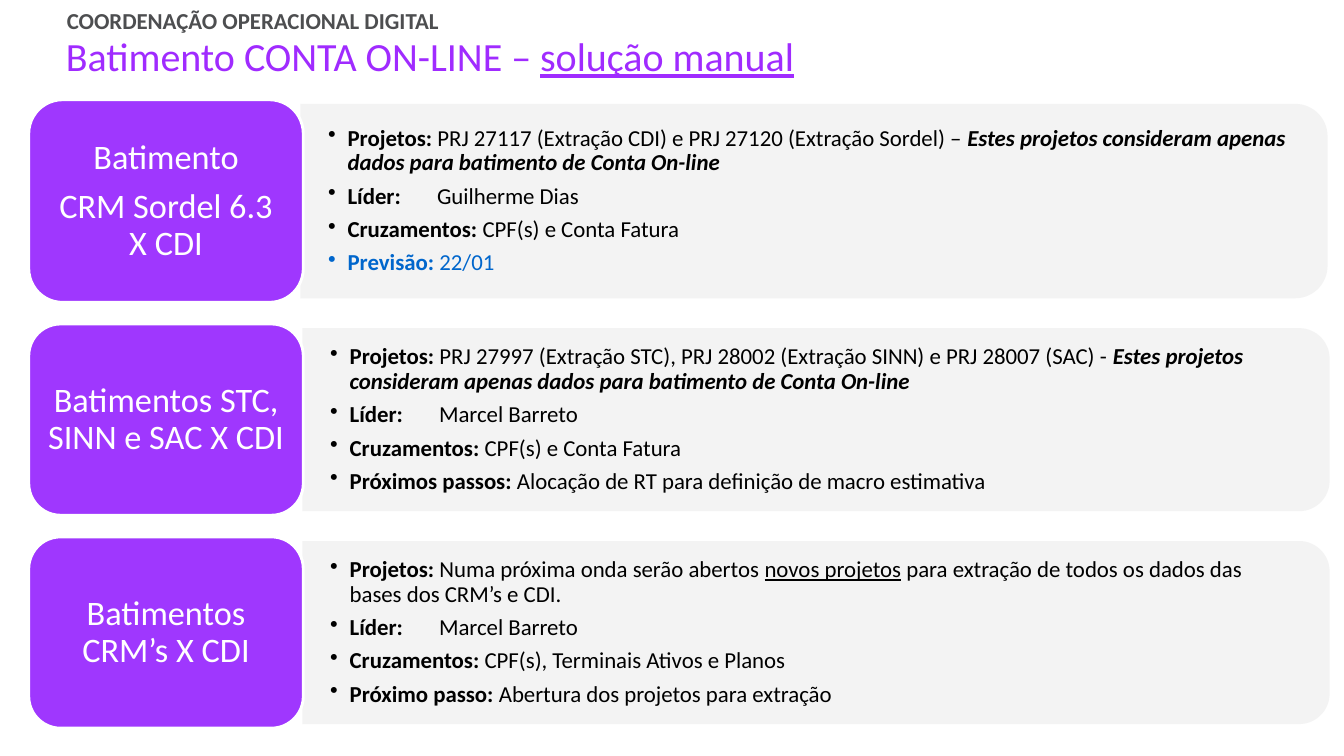
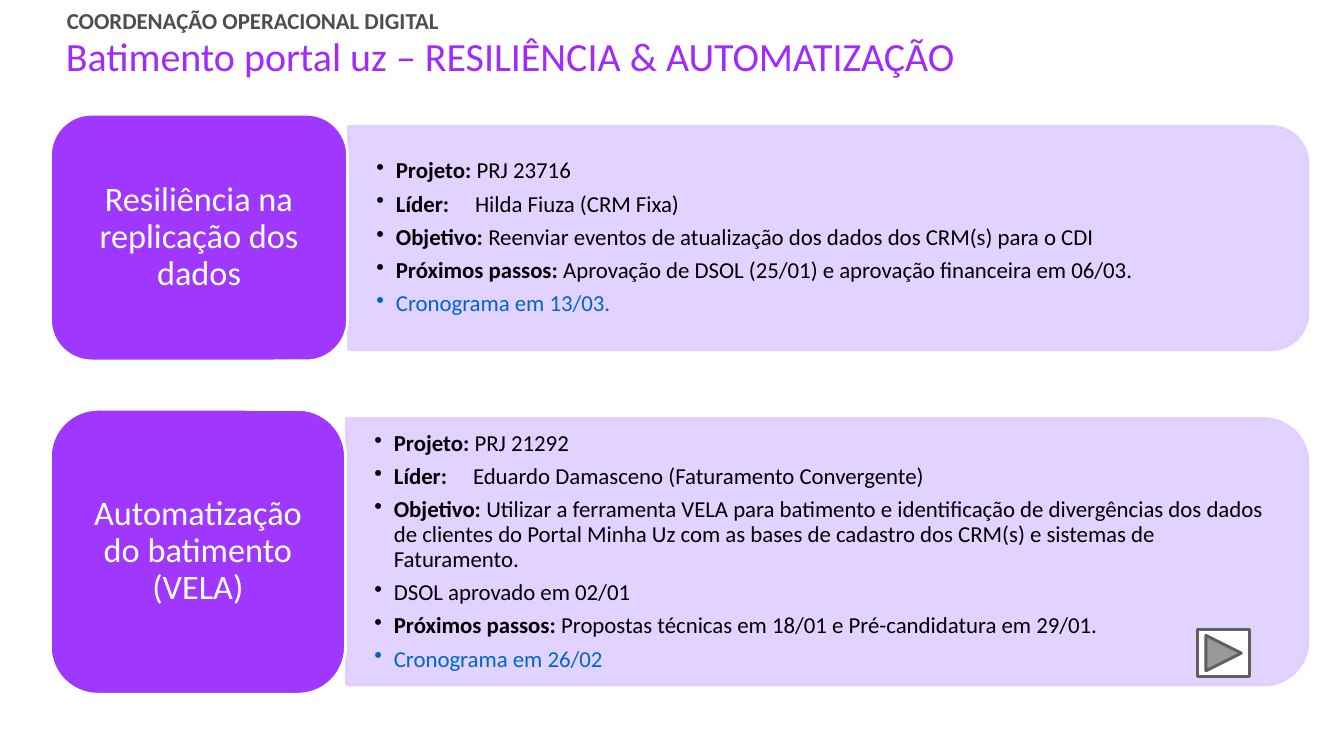
import math
from dataclasses import dataclass

from lxml import etree
from pptx import Presentation
from pptx import util as u
from pptx.dml.color import RGBColor
from pptx.enum import shapes, text
from pptx.oxml.ns import qn


@dataclass(frozen=True)
class Theme:
    font: str = "Calibri"
    title: str = "A02BFF"
    kicker: str = "4D4E50"
    label: str = "9F37FE"
    grey_panel: str = "F2F2F2"
    lilac_panel: str = "DFCEFF"
    body: str = "000000"
    accent: str = "0066CC"
    white: str = "FFFFFF"
    button_line: str = "5F5F5F"
    title_size: int = 28
    label_size: int = 24
    body_size: int = 16
    line_width: int = 2
    panel_opacity: int = 90


class Deck:
    def __init__(self, theme):
        self.theme = theme
        self.presentation = Presentation()
        self.presentation.slide_width = u.Inches(13.07)
        self.presentation.slide_height = u.Inches(7.35)
        self.slide = None

    def add_slide(self, title_runs):
        layout = self.presentation.slide_layouts[5]
        self.slide = self.presentation.slides.add_slide(layout)
        title = self.slide.shapes.title
        title.left, title.top = u.Inches(0.64), u.Inches(0.31)
        title.width, title.height = u.Inches(11.73), u.Inches(0.44)
        self.frame(title, 0, 0, 0, text.MSO_ANCHOR.TOP)
        paragraph = title.text_frame.paragraphs[0]
        paragraph.alignment = text.PP_ALIGN.LEFT
        self.runs(paragraph, title_runs, self.theme.title_size, self.theme.title)
        self.kicker("COORDENAÇÃO OPERACIONAL DIGITAL")

    def kicker(self, words):
        box = self.slide.shapes.add_textbox(
            u.Inches(0.52), u.Inches(0.04), u.Inches(11.13), u.Inches(0.31))
        self.frame(box, 0.13, 0.13, 0.07)
        self.runs(box.text_frame.paragraphs[0], [(words, "b")],
                  self.theme.body_size, self.theme.kicker)

    def frame(self, shape, left, right, vertical, anchor=text.MSO_ANCHOR.MIDDLE):
        frame = shape.text_frame
        frame.word_wrap = True
        frame.auto_size = text.MSO_AUTO_SIZE.NONE
        frame.vertical_anchor = anchor
        frame.margin_left, frame.margin_right = u.Inches(left), u.Inches(right)
        frame.margin_top = frame.margin_bottom = u.Inches(vertical)

    def runs(self, paragraph, pieces, size, color):
        for words, style in pieces:
            run = paragraph.add_run()
            run.text = words
            font = run.font
            font.name, font.size = self.theme.font, u.Pt(size)
            font.bold, font.italic = "b" in style, "i" in style
            font.underline = "u" in style
            font.color.rgb = RGBColor.from_string(
                self.theme.accent if "a" in style else color)

    def paint(self, shape, fill, line=None):
        shape.shadow.inherit = False
        shape.fill.solid()
        shape.fill.fore_color.rgb = RGBColor.from_string(fill)
        if line:
            shape.line.color.rgb = RGBColor.from_string(line)
            shape.line.width = u.Pt(self.theme.line_width)
        else:
            shape.line.fill.background()

    def panel(self, left, top, width, height, fill, line, vertical, items, tab):
        radius = height / 6
        right, bottom = left + width, top + height
        points = []
        for start, center_y in ((-90, top + radius), (0, bottom - radius)):
            for step in range(0, 91, 6):
                angle = math.radians(start + step)
                points.append((right - radius + radius * math.cos(angle),
                               center_y + radius * math.sin(angle)))
        points.append((left, bottom))
        builder = self.slide.shapes.build_freeform(u.Inches(left), u.Inches(top))
        builder.add_line_segments([(u.Inches(x), u.Inches(y)) for x, y in points])
        shape = builder.convert_to_shape()
        self.paint(shape, fill, line)
        for color in shape.element.spPr.iter(qn("a:srgbClr")):
            alpha = etree.SubElement(color, qn("a:alpha"))
            alpha.set("val", str(self.theme.panel_opacity * 1000))
        self.frame(shape, 0.27, 0.37, vertical)
        self.bullets(shape.text_frame, items, tab)

    def bullets(self, frame, items, tab):
        for index, pieces in enumerate(items):
            paragraph = frame.add_paragraph() if index else frame.paragraphs[0]
            paragraph.alignment = text.PP_ALIGN.LEFT
            paragraph.line_spacing = 0.9
            paragraph.space_after = u.Pt(6)
            properties = paragraph._p.get_or_add_pPr()
            properties.set("marL", str(u.Inches(0.19)))
            properties.set("indent", str(-u.Inches(0.19)))
            etree.SubElement(properties, qn("a:buChar")).set("char", "•")
            if any("\t" in words for words, _ in pieces):
                stops = etree.SubElement(properties, qn("a:tabLst"))
                stop = etree.SubElement(stops, qn("a:tab"))
                stop.set("pos", str(u.Inches(tab)))
                stop.set("algn", "l")
            self.runs(paragraph, pieces, self.theme.body_size, self.theme.body)

    def label(self, left, top, width, height, inset, lines):
        shape = self.slide.shapes.add_shape(
            shapes.MSO_SHAPE.ROUNDED_RECTANGLE,
            u.Inches(left), u.Inches(top), u.Inches(width), u.Inches(height))
        self.paint(shape, self.theme.label, self.theme.white)
        self.frame(shape, inset, inset, 0.05)
        frame = shape.text_frame
        for index, words in enumerate(lines):
            paragraph = frame.add_paragraph() if index else frame.paragraphs[0]
            paragraph.alignment = text.PP_ALIGN.CENTER
            paragraph.line_spacing = 0.9
            paragraph.space_after = u.Pt(8.4)
            self.runs(paragraph, [(words, "")], self.theme.label_size,
                      self.theme.white)

    def forward_button(self, left, top, width, height):
        shape = self.slide.shapes.add_shape(
            shapes.MSO_SHAPE.ACTION_BUTTON_FORWARD_OR_NEXT,
            u.Inches(left), u.Inches(top), u.Inches(width), u.Inches(height))
        self.paint(shape, self.theme.white, self.theme.button_line)


def field(name, value, *extra):
    return [(name, "b"), (value, ""), *extra]


def manual_solution(deck):
    deck.add_slide([("Batimento CONTA ON-LINE – ", ""), ("solução manual", "u")])
    only_online = ("Estes projetos consideram apenas dados para batimento "
                   "de Conta On-line", "bi")
    rows = [
        (2.92, 0.97, 1.97, ["Batimento", "CRM Sordel 6.3 X CDI"], [
            field("Projetos: ", "PRJ 27117 (Extração CDI) e PRJ 27120 "
                  "(Extração Sordel) – ", only_online),
            field("Líder:", "\tGuilherme Dias"),
            field("Cruzamentos:", " CPF(s) e Conta Fatura"),
            [("Previsão: ", "ab"), ("22/01", "a")]]),
        (2.94, 3.15, 1.86, ["Batimentos STC, SINN e SAC X CDI"], [
            field("Projetos: ", "PRJ 27997 (Extração STC), PRJ 28002 "
                  "(Extração SINN) e PRJ 28007 (SAC) - ", only_online),
            field("Líder:", "\tMarcel Barreto"),
            field("Cruzamentos: ", "CPF(s) e Conta Fatura"),
            field("Próximos passos: ",
                  "Alocação de RT para definição de macro estimativa")]),
        (2.94, 5.22, 1.86, ["Batimentos CRM’s X CDI"], [
            field("Projetos: ", "Numa próxima onda serão abertos ",
                  ("novos projetos", "u"),
                  (" para extração de todos os dados das bases dos "
                   "CRM’s e CDI.", "")),
            field("Líder:", "\tMarcel Barreto"),
            field("Cruzamentos:", " CPF(s), Terminais Ativos e Planos"),
            field("Próximo passo:", " Abertura dos projetos para extração")]),
    ]
    for panel_left, top, height, lines, items in rows:
        deck.panel(panel_left, top + 0.04, 9.99, height - 0.08,
                   deck.theme.grey_panel, None, 0.22, items, 1.06)
        deck.label(0.28, top, 2.67, height, 0.09, lines)


def resilience(deck):
    deck.add_slide([("Batimento portal uz – RESILIÊNCIA & AUTOMATIZAÇÃO", "")])
    rows = [
        (1.11, 2.4, 2.89, 1.23, 2.17, ["Resiliência na replicação dos dados"], [
            field("Projeto: ", "PRJ 23716"),
            field("Líder:", "\tHilda Fiuza (CRM Fixa)"),
            field("Objetivo: ", "Reenviar eventos de atualização dos dados "
                  "dos CRM(s) para o CDI"),
            field("Próximos passos:", " Aprovação de DSOL (25/01) e aprovação "
                  "financeira em 06/03."),
            [("Cronograma em 13/03.", "a")]]),
        (3.98, 2.77, 2.87, 4.07, 2.59, ["Automatização do batimento (VELA)"], [
            field("Projeto: ", "PRJ 21292"),
            field("Líder:", "\tEduardo Damasceno (Faturamento Convergente)"),
            field("Objetivo: ", "Utilizar a ferramenta VELA para batimento e "
                  "identificação de divergências dos dados de clientes do "
                  "Portal Minha Uz com as bases de cadastro dos CRM(s) e "
                  "sistemas de Faturamento."),
            [("DSOL aprovado em 02/01", "")],
            field("Próximos passos: ", "Propostas técnicas em 18/01 e "
                  "Pré-candidatura em 29/01."),
            [("Cronograma em 26/02", "a")]]),
    ]
    lilac = deck.theme.lilac_panel
    for top, height, width, panel_top, panel_height, lines, items in rows:
        panel_left = 0.5 + width
        deck.panel(panel_left, panel_top, 12.72 - panel_left, panel_height,
                   lilac, lilac, 0.25, items, 0.96)
        deck.label(0.49, top, width, height, 0.11, lines)
    deck.forward_button(11.65, 6.12, 0.5, 0.46)


def main():
    deck = Deck(Theme())
    manual_solution(deck)
    resilience(deck)
    deck.presentation.save("out.pptx")


if __name__ == "__main__":
    main()
